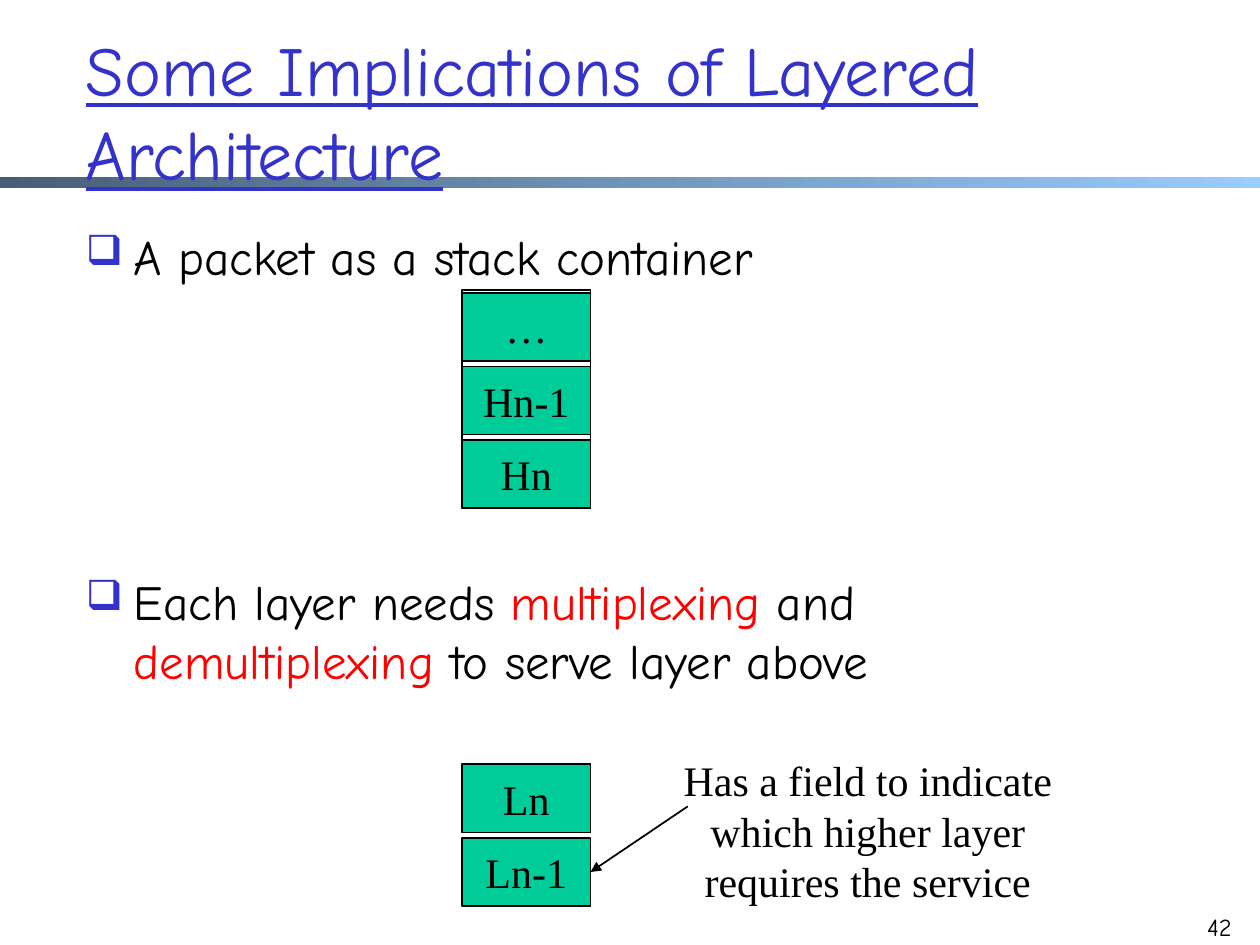
from lxml.etree import SubElement
from pptx import Presentation
from pptx.dml.color import RGBColor
from pptx.enum.shapes import MSO_CONNECTOR, MSO_SHAPE
from pptx.enum.text import MSO_ANCHOR, MSO_AUTO_SIZE, PP_ALIGN
from pptx.oxml.ns import qn
from pptx.util import Inches, Pt

COLORS = {"blue": "3333CC", "black": "000000", "red": "FF0000",
          "green": "00CC99", "bar_dark": "475E76", "bar_light": "99CCFF"}
COLS, ROWS = 120, 90
WIDTH, HEIGHT = Inches(10), Inches(7.5)
TITLE = {"name": "Comic Neue", "size": Pt(40), "underline": True}
BODY = {"name": "Comic Neue", "size": Pt(28)}
NUMBER = {"name": "Comic Neue", "size": Pt(14)}
LABEL = {"name": "Times New Roman", "size": Pt(24)}
BULLETS = [
    (0, [("A packet as a stack container", "black")]),
    (163.5, [("Each layer needs ", "black"), ("multiplexing ", "red"),
             ("and ", "black"), ("demultiplexing", "red"),
             (" to serve layer above", "black")]),
]


def rgb(name):
    """Return the named colour."""
    return RGBColor.from_string(COLORS[name])


def place(col, row, cols, rows):
    """Turn a box in grid units into slide lengths."""
    return (int(WIDTH * col / COLS), int(HEIGHT * row / ROWS),
            int(WIDTH * cols / COLS), int(HEIGHT * rows / ROWS))


def add_run(p, text, fmt, color="black"):
    """Add a formatted run to a paragraph."""
    r = p.add_run()
    r.text = text
    for key, value in fmt.items():
        setattr(r.font, key, value)
    r.font.color.rgb = rgb(color)


def add_text(s, box, text, fmt, color="black", align=PP_ALIGN.LEFT,
             anchor=MSO_ANCHOR.TOP, auto_size=MSO_AUTO_SIZE.NONE):
    """Add a wrapping text box with one paragraph."""
    tf = s.shapes.add_textbox(*place(*box)).text_frame
    settings = {"word_wrap": True, "auto_size": auto_size,
                "vertical_anchor": anchor}
    for key, value in settings.items():
        setattr(tf, key, value)
    p = tf.paragraphs[0]
    p.alignment = align
    if text:
        add_run(p, text, fmt, color)
    return tf


def add_rect(s, box, fill=None):
    """Add an outlined rectangle, filled when a colour is named."""
    sp = s.shapes.add_shape(MSO_SHAPE.RECTANGLE, *place(*box))
    sp.shadow.inherit = False
    if fill:
        sp.fill.solid()
        sp.fill.fore_color.rgb = rgb(fill)
    else:
        sp.fill.background()
    sp.line.color.rgb = rgb("black")
    sp.line.width = Pt(1)
    return sp


def add_bar(s, box):
    """Add the gradient bar below the title."""
    sp = add_rect(s, box)
    sp.line.fill.background()
    sp.fill.gradient()
    sp.fill.gradient_angle = 0
    for stop, name in zip(sp.fill.gradient_stops, ("bar_dark", "bar_light")):
        stop.color.rgb = rgb(name)


def add_bullets(s, box):
    """Add the bulleted statements."""
    tf = add_text(s, box, "", BODY)
    for i, (gap, runs) in enumerate(BULLETS):
        p = tf.add_paragraph() if i else tf.paragraphs[0]
        pPr = p._p.get_or_add_pPr()
        pPr.set("marL", str(Inches(0.38)))
        pPr.set("indent", str(-Inches(0.38)))
        clr = SubElement(pPr, qn("a:buClr"))
        SubElement(clr, qn("a:srgbClr"), val=COLORS["blue"])
        SubElement(pPr, qn("a:buSzPct"), val="85000")
        SubElement(pPr, qn("a:buChar"), char="❑")
        p.space_before = Pt(gap)
        for text, color in runs:
            add_run(p, text, BODY, color)


def add_stack(s, box, labels, pitch=7):
    """Stack equal labelled layers downwards from the box and return them."""
    col, row, cols, rows = box
    layers = []
    for i, label in enumerate(labels):
        sp = add_rect(s, (col, row + i * pitch, cols, rows), "green")
        tf = sp.text_frame
        tf.vertical_anchor = MSO_ANCHOR.MIDDLE
        p = tf.paragraphs[0]
        p.alignment = PP_ALIGN.CENTER
        add_run(p, label, LABEL)
        layers.append(sp)
    return layers


def add_note(s, box, target):
    """Add the explanation and its arrow to the target layer."""
    col, row, cols, rows = box
    add_text(s, box, "Has a field to indicate which higher layer requires the service",
             LABEL, align=PP_ALIGN.CENTER,
             auto_size=MSO_AUTO_SIZE.SHAPE_TO_FIT_TEXT)
    x, y = place(col + 2.6, row + 5.5, 0, 0)[:2]
    arrow = s.shapes.add_connector(MSO_CONNECTOR.STRAIGHT, x, y, x, y)
    arrow.end_connect(target, 3)
    arrow.line.color.rgb = rgb("black")
    arrow.line.width = Pt(1)
    SubElement(arrow.line._get_or_add_ln(), qn("a:tailEnd"), type="triangle")
    SubElement(arrow._element.spPr, qn("a:effectLst"))


def main():
    """Build and save the slide."""
    prs = Presentation()
    prs.slide_width, prs.slide_height = WIDTH, HEIGHT
    s = prs.slides.add_slide(prs.slide_layouts[6])
    add_bar(s, (0, 16.9, COLS, 1))
    add_text(s, (7, 3, 102, 15), "Some Implications of Layered Architecture",
             TITLE, "blue", anchor=MSO_ANCHOR.MIDDLE)
    add_bullets(s, (7, 21, 102, 61))
    add_text(s, (112.5, 86.3, 6, 6), "42", NUMBER, align=PP_ALIGN.RIGHT)
    add_rect(s, (44, 27.6, 12.25, 20.8))
    add_stack(s, (44, 27.9, 12.25, 6.5), ["…", "Hn-1", "Hn"])
    layers = add_stack(s, (44, 72.8, 12.25, 6.5), ["Ln", "Ln-1"])
    add_note(s, (62.9, 71.3, 39.5, 15.7), layers[-1])
    prs.save("out.pptx")


if __name__ == "__main__":
    main()
